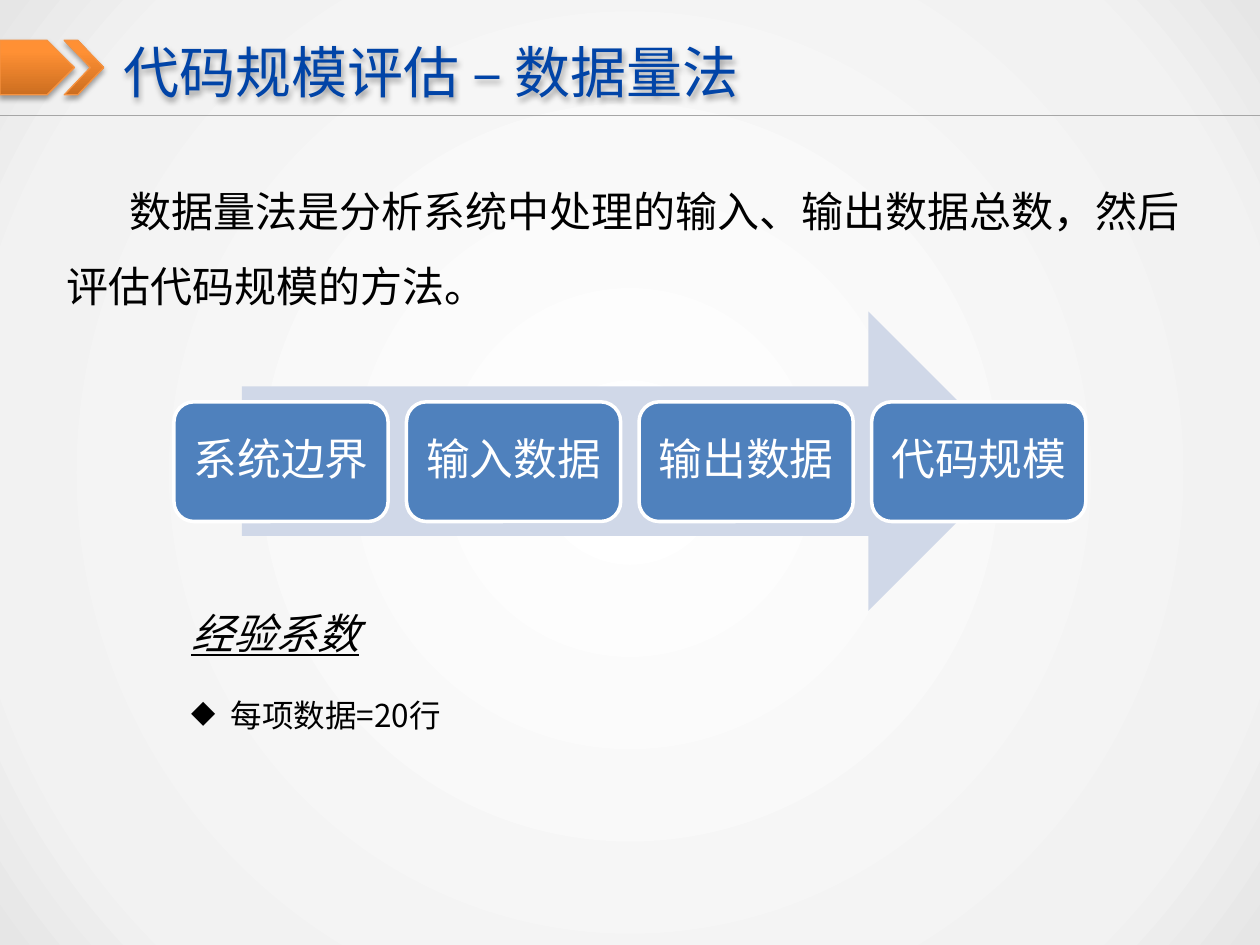
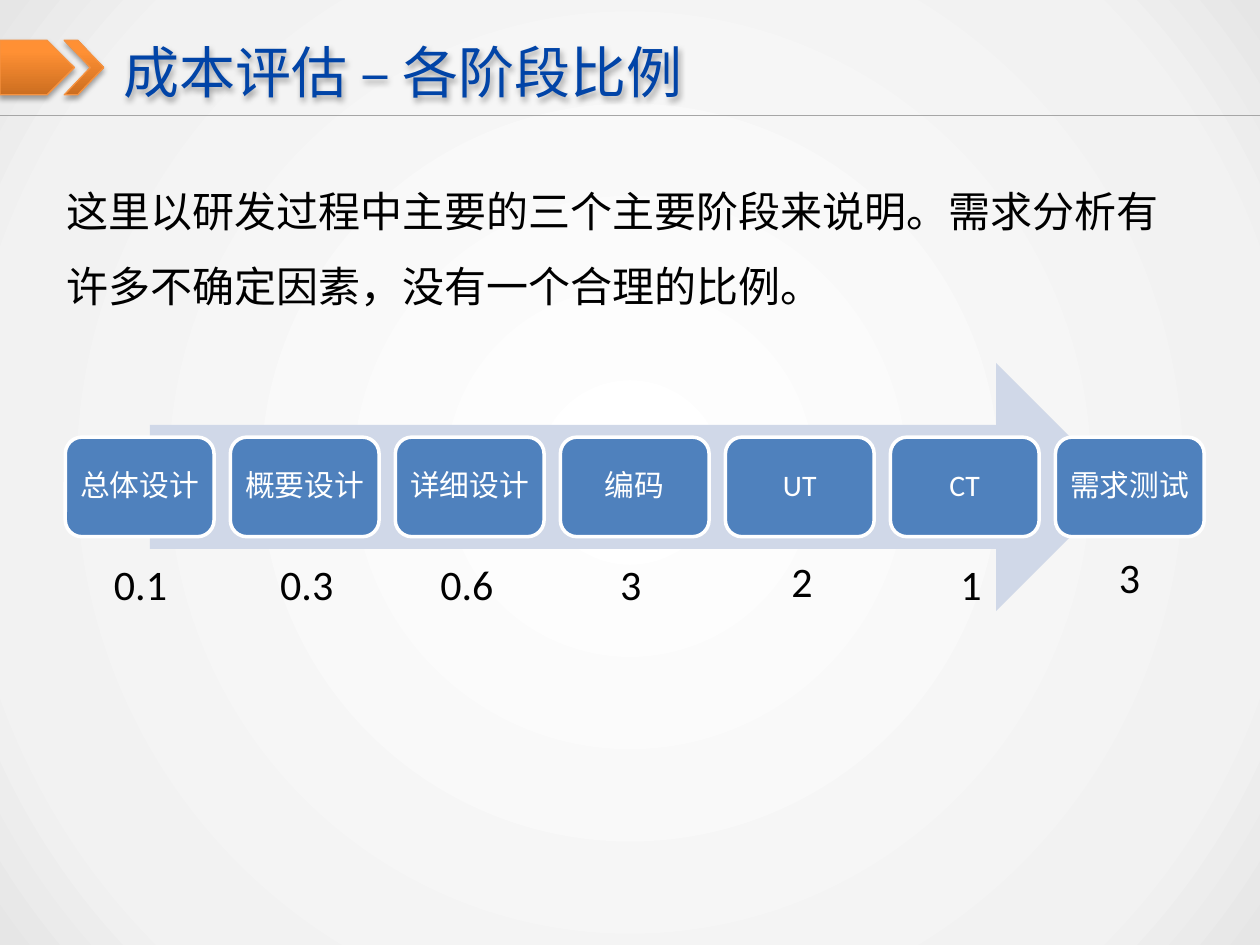
"""Builds two slides on code size estimation and phase cost ratios."""
import pptx
import pptx.util
import pptx.dml.color
import pptx.enum.shapes
import pptx.enum.text
import pptx.oxml
import pptx.oxml.ns

Pt = pptx.util.Pt
RGBColor = pptx.dml.color.RGBColor
MSO_SHAPE = pptx.enum.shapes.MSO_SHAPE
PP_ALIGN = pptx.enum.text.PP_ALIGN
ANCHOR_MIDDLE = pptx.enum.text.MSO_ANCHOR.MIDDLE
qn = pptx.oxml.ns.qn

TITLE_BLUE = RGBColor(0x01, 0x44, 0xA7)
NODE_BLUE = RGBColor(0x4F, 0x81, 0xBD)
ARROW_BLUE = RGBColor(0xD0, 0xD8, 0xE8)
ORANGE = RGBColor(0xF6, 0x92, 0x40)
RULE_GRAY = RGBColor(0xA6, 0xA6, 0xA6)
BLACK = RGBColor(0, 0, 0)
WHITE = RGBColor(0xFF, 0xFF, 0xFF)
CHINESE_FONT = "Noto Sans CJK SC"
LATIN_FONT = "Calibri"

NAMESPACE = 'xmlns:a="http://schemas.openxmlformats.org/drawingml/2006/main"'
ORANGE_STOPS = ((0, "CC6E20"), (80, "FF9034"), (100, "FF9136"))
BACKGROUND_STOPS = ((0, "FFFFFF"), (82, "F2F2F2"), (100, "E6E6E6"))
UPWARD = '<a:lin ang="16200000" scaled="0"/>'
FROM_CENTRE = ('<a:path path="circle"><a:fillToRect l="50000" t="50000" '
               'r="50000" b="50000"/></a:path>')
SOFT_SHADOW = (f'<a:outerShdw {NAMESPACE} blurRad="39370" dist="22860" dir="5400000" '
               'rotWithShape="0"><a:srgbClr val="000000"><a:alpha val="35000"/>'
               '</a:srgbClr></a:outerShdw>')

SLIDES = [
    {
        "title": "代码规模评估 – 数据量法",
        "intro": "数据量法是分析系统中处理的输入、输出数据总数，然后评估代码规模的方法。",
        "intro_indent": 36,
        "arrow": (138.2, 178, 443.5, 171),
        "steps": ["系统边界", "输入数据", "输出数据", "代码规模"],
        "first_step": (99.4, 229.6, 122.4, 68.4),
        "pitch": 132.9, "step_size": 25, "inset": 7.2,
    },
    {
        "title": "成本评估 – 各阶段比例",
        "intro": "这里以研发过程中主要的三个主要阶段来说明。需求分析有许多不确定因素，没有一个合理的比例。",
        "intro_indent": 0,
        "arrow": (85.7, 207.4, 554.4, 141.8),
        "steps": ["总体设计", "概要设计", "详细设计", "编码", "UT", "CT", "需求测试"],
        "first_step": (37.3, 249.8, 85, 56.9),
        "pitch": 94.3, "step_size": 17, "inset": 5,
    },
]
RATIOS = [("0.1", 49.7, 315.4), ("0.3", 144.7, 315.4), ("0.6", 236.2, 315.4),
          ("3", 329.8, 315.4), ("2", 427.7, 313.9), ("1", 524.2, 315.4),
          ("3", 614.9, 311.8)]


def apply_gradient(properties, stops, direction):
    """Replace the solid fill in properties with a gradient."""
    stop_xml = "".join(f'<a:gs pos="{position * 1000}"><a:srgbClr val="{color}"/></a:gs>'
                       for position, color in stops)
    gradient = pptx.oxml.parse_xml(f'<a:gradFill {NAMESPACE} rotWithShape="1"><a:gsLst>'
                                   f'{stop_xml}</a:gsLst>{direction}</a:gradFill>')
    solid = properties.find(qn("a:solidFill"))
    properties.replace(solid, gradient)


def write_text(shape, text, size, color, font_name=CHINESE_FONT, align=PP_ALIGN.LEFT):
    """Write lines of text into a shape and format every run."""
    text_frame = shape.text_frame
    text_frame.word_wrap = True
    text_frame.text = text
    for paragraph in text_frame.paragraphs:
        paragraph.alignment = align
        for run in paragraph.runs:
            run.font.size = Pt(size)
            run.font.color.rgb = color
            run.font.name = font_name
            east_asian = run.font._element.makeelement(qn("a:ea"), {"typeface": CHINESE_FONT})
            run.font._element.append(east_asian)
    return text_frame


presentation = pptx.Presentation()
presentation.slide_width = Pt(720)
presentation.slide_height = Pt(540)
master_background = presentation.slide_master.background
master_background.fill.solid()
background_properties = presentation.slide_master._element.cSld.find(qn("p:bg")).find(qn("p:bgPr"))
apply_gradient(background_properties, BACKGROUND_STOPS, FROM_CENTRE)

for content in SLIDES:
    slide = presentation.slides.add_slide(presentation.slide_layouts[6])
    shapes = slide.shapes

    title = shapes.add_textbox(Pt(70.6), Pt(15.1), Pt(635), Pt(50.8))
    title_frame = write_text(title, content["title"], 32, TITLE_BLUE)
    title_frame.margin_left = title_frame.margin_right = 0
    title_frame.vertical_anchor = ANCHOR_MIDDLE

    pentagon = shapes.add_shape(MSO_SHAPE.PENTAGON, 0, Pt(23), Pt(42.5), Pt(31.2))
    chevron = shapes.add_shape(MSO_SHAPE.CHEVRON, Pt(36.7), Pt(23), Pt(22.6), Pt(31.2))
    chevron.adjustments[0] = 0.66
    for marker in (pentagon, chevron):
        marker.fill.solid()
        apply_gradient(marker._element.spPr, ORANGE_STOPS, UPWARD)
        marker.line.color.rgb = ORANGE
        marker.line.width = Pt(0.75)
    for raised in (title, pentagon, chevron):
        raised.shadow.inherit = False
        effects = raised._element.spPr.find(qn("a:effectLst"))
        effects.append(pptx.oxml.parse_xml(SOFT_SHADOW))

    rule = shapes.add_connector(pptx.enum.shapes.MSO_CONNECTOR.STRAIGHT,
                                0, Pt(66), Pt(720), Pt(66))
    rule.line.color.rgb = RULE_GRAY
    rule.line.width = Pt(0.75)
    rule._element.spPr.append(rule._element.makeelement(qn("a:effectLst"), {}))

    intro = shapes.add_textbox(Pt(31), Pt(87.8), Pt(657.4), Pt(94.3))
    intro_paragraph = write_text(intro, content["intro"], 24, BLACK).paragraphs[0]
    intro_paragraph.line_spacing = 1.5
    intro_paragraph._p.get_or_add_pPr().set("indent", str(Pt(content["intro_indent"])))

    arrow = shapes.add_shape(MSO_SHAPE.RIGHT_ARROW, *map(Pt, content["arrow"]))
    arrow.shadow.inherit = False
    arrow.fill.solid()
    arrow.fill.fore_color.rgb = ARROW_BLUE
    arrow.line.fill.background()

    left, top, width, height = content["first_step"]
    for index, label in enumerate(content["steps"]):
        step = shapes.add_shape(MSO_SHAPE.ROUNDED_RECTANGLE, Pt(left + index * content["pitch"]),
                                Pt(top), Pt(width), Pt(height))
        step.shadow.inherit = False
        step.fill.solid()
        step.fill.fore_color.rgb = NODE_BLUE
        step.line.color.rgb = WHITE
        step.line.width = Pt(2)
        step_frame = write_text(step, label, content["step_size"], WHITE,
                                LATIN_FONT, PP_ALIGN.CENTER)
        step_frame.margin_left = step_frame.margin_right = Pt(content["inset"])
        step_frame.margin_top = step_frame.margin_bottom = Pt(content["inset"])
        step_frame.vertical_anchor = ANCHOR_MIDDLE
        step_frame.paragraphs[0].line_spacing = 0.9

size_slide, cost_slide = presentation.slides

experience = size_slide.shapes.add_textbox(Pt(102.2), Pt(343.4), Pt(516.2), Pt(79.9))
heading, rate = write_text(experience, "经验系数\n每项数据=20行", 24, BLACK).paragraphs
heading.runs[0].font.italic = True
heading.runs[0].font.underline = True
rate.space_before = Pt(22)
rate_properties = rate._p.get_or_add_pPr()
rate_properties.set("marL", str(Pt(22.5)))
rate_properties.set("indent", str(Pt(-22.5)))
rate_properties.append(rate_properties.makeelement(qn("a:buChar"), {"char": "◆"}))
rate.runs[0].font.size = Pt(18)

for ratio, left, top in RATIOS:
    ratio_box = cost_slide.shapes.add_textbox(Pt(left), Pt(top), Pt(61.2), Pt(36))
    write_text(ratio_box, ratio, 24, BLACK, LATIN_FONT, PP_ALIGN.CENTER)

presentation.save("out.pptx")
